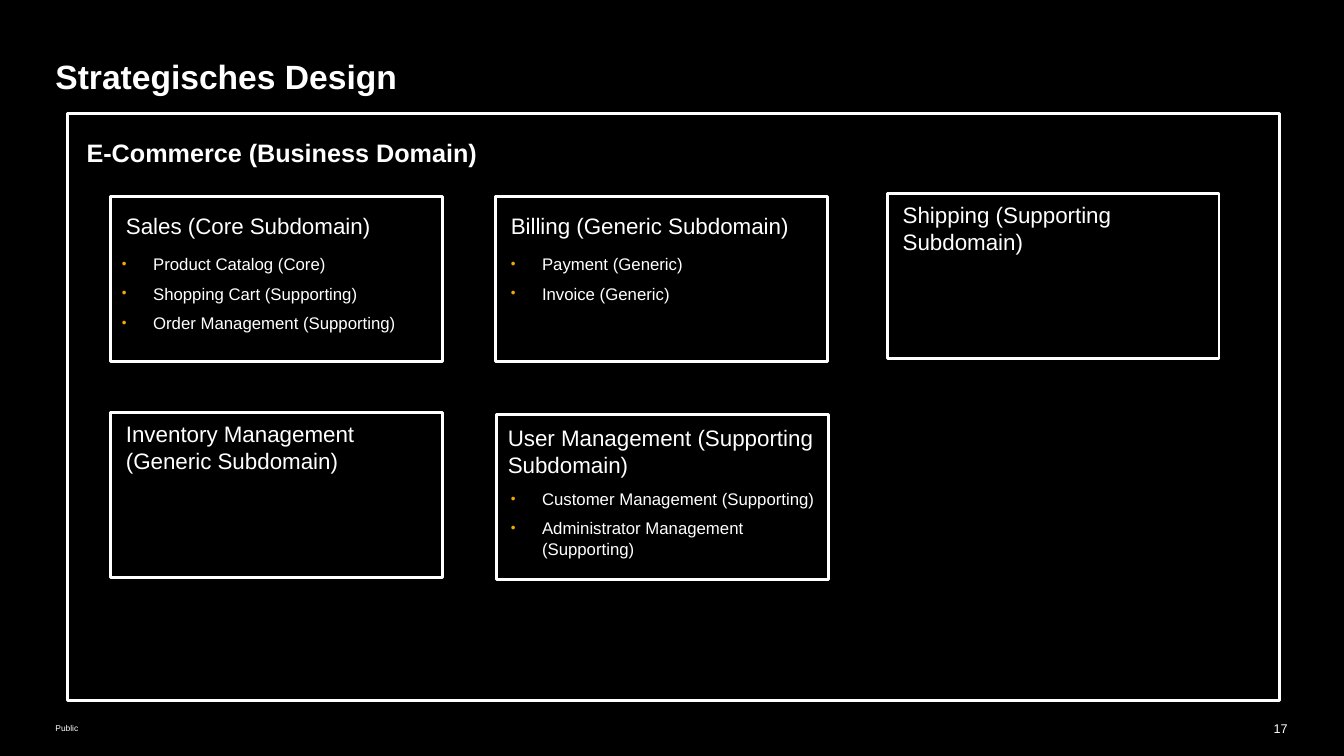
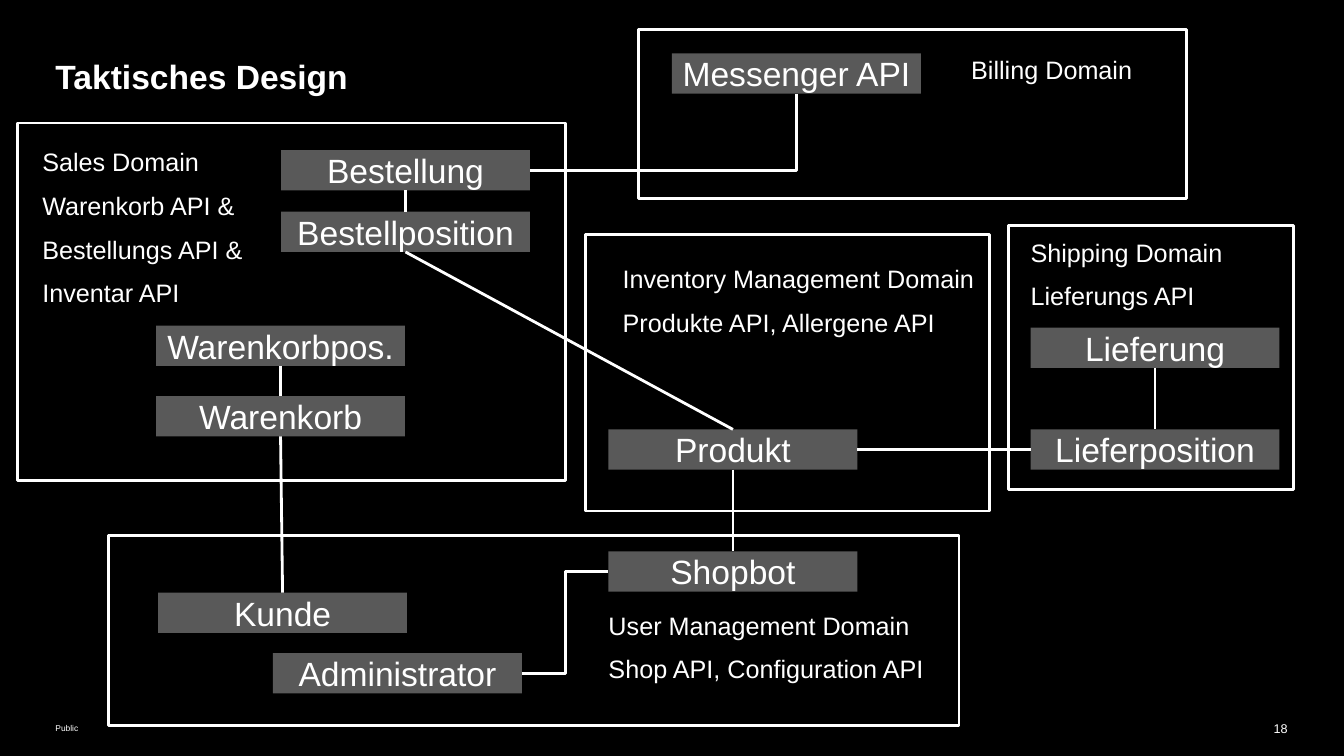
"""Builds two slides on the strategic and tactical design of a web shop."""
import pptx
import pptx.enum.shapes
import pptx.enum.text
import pptx.util
from lxml import etree
from pptx.dml.color import RGBColor
from pptx.oxml.ns import qn
from pptx.util import Inches

COLORS = {"background": "000000", "text": "FFFFFF", "line": "FFFFFF",
          "node": "595959", "bullet": "F0AB00"}
FONT = "Arial"
LINE_WIDTH = pptx.util.Pt(2)
NODE_WIDTH, NODE_HEIGHT = 2.47, 0.4
TOP, LEFT, BOTTOM, RIGHT = range(4)
ALIGN = pptx.enum.text.PP_ALIGN
ANCHOR = pptx.enum.text.MSO_ANCHOR
CONNECTOR = pptx.enum.shapes.MSO_CONNECTOR


def rgb(name):
    return RGBColor.from_string(COLORS[name])


def add_bullet(paragraph):
    properties = paragraph._p.get_or_add_pPr()
    indent = Inches(0.31)
    properties.set("marL", str(indent))
    properties.set("indent", str(-indent))
    color = etree.SubElement(properties, qn("a:buClr"))
    etree.SubElement(color, qn("a:srgbClr"), val=COLORS["bullet"])
    etree.SubElement(properties, qn("a:buSzPct"), val="80000")
    etree.SubElement(properties, qn("a:buFont"), typeface=FONT)
    etree.SubElement(properties, qn("a:buChar"), char="•")


def write(frame, text, *, size, bold=False, align=ALIGN.LEFT, anchor=ANCHOR.TOP, bullets=False):
    frame.word_wrap = True
    frame.auto_size = pptx.enum.text.MSO_AUTO_SIZE.NONE
    frame.vertical_anchor = anchor
    frame.margin_left = frame.margin_top = frame.margin_right = frame.margin_bottom = 0
    for index, line in enumerate(text.split("\n")):
        paragraph = frame.add_paragraph() if index else frame.paragraphs[0]
        if bullets:
            add_bullet(paragraph)
        paragraph.alignment = align
        paragraph.space_before = pptx.util.Pt(0.54 * size if index else 0)
        run = paragraph.add_run()
        run.text = line
        run.font.name = FONT
        run.font.size = pptx.util.Pt(size)
        run.font.bold = bold
        run.font.color.rgb = rgb("text")


class Deck:
    """Holds the shared style and the slide being built."""

    def __init__(self):
        self.presentation = pptx.Presentation()
        self.presentation.slide_width = Inches(13.34)
        self.presentation.slide_height = Inches(7.5)
        background = self.presentation.slide_master.background.fill
        background.solid()
        background.fore_color.rgb = rgb("background")
        self.slide = None

    def start_slide(self, title, number):
        self.slide = self.presentation.slides.add_slide(self.presentation.slide_layouts[5])
        heading = self.slide.shapes.title
        heading.left, heading.top = Inches(0.55), Inches(0.55)
        heading.width, heading.height = Inches(12.23), Inches(0.4)
        write(heading.text_frame, title, size=24, bold=True)
        self.text("Public", 0.55, 7.15, 11.11, 0.15, size=6, anchor=ANCHOR.MIDDLE)
        self.text(str(number), 12.28, 7.15, 0.5, 0.15, size=9, align=ALIGN.RIGHT)

    def text(self, text, left, top, width, height, **style):
        box = self.slide.shapes.add_textbox(
            Inches(left), Inches(top), Inches(width), Inches(height))
        write(box.text_frame, text, **style)

    def rectangle(self, left, top, width, height):
        shape = self.slide.shapes.add_shape(
            pptx.enum.shapes.MSO_SHAPE.RECTANGLE,
            Inches(left), Inches(top), Inches(width), Inches(height))
        shape.shadow.inherit = False
        return shape

    def frame(self, left, top, width, height):
        border = self.rectangle(left, top, width, height)
        border.fill.background()
        border.line.color.rgb = rgb("line")
        border.line.width = LINE_WIDTH

    def node(self, label, left, top):
        entity = self.rectangle(left, top, NODE_WIDTH, NODE_HEIGHT)
        entity.fill.solid()
        entity.fill.fore_color.rgb = rgb("node")
        entity.line.fill.background()
        write(entity.text_frame, label, size=24, align=ALIGN.CENTER, anchor=ANCHOR.MIDDLE)
        return entity

    def connect(self, start, start_side, end, end_side, kind=CONNECTOR.STRAIGHT, preset=None):
        link = self.slide.shapes.add_connector(kind, 0, 0, 0, 0)
        link.begin_connect(start, start_side)
        link.end_connect(end, end_side)
        link.line.color.rgb = rgb("line")
        link.line.width = LINE_WIDTH
        properties = link._element.spPr
        etree.SubElement(properties, qn("a:effectLst"))
        if preset:
            properties.find(qn("a:prstGeom")).set("prst", preset)


def build_strategic(deck):
    deck.start_slide("Strategisches Design", 17)
    deck.frame(0.67, 1.13, 12.03, 5.82)
    deck.text("E-Commerce (Business Domain)", 0.86, 1.36, 5, 0.3, size=18, bold=True)
    subdomains = [
        (1.1, 1.95, "Sales (Core Subdomain)", (0.15, 0.15, 3.03), (0.11, 0.57),
         "Product Catalog (Core)\nShopping Cart (Supporting)\nOrder Management (Supporting)"),
        (4.92, 1.95, "Billing (Generic Subdomain)", (0.15, 0.15, 3.03), (0.15, 0.57),
         "Payment (Generic)\nInvoice (Generic)"),
        (8.81, 1.92, "Shipping (Supporting Subdomain)", (0.15, 0.08, 2.58), None, ""),
        (1.1, 4.09, "Inventory Management (Generic Subdomain)", (0.15, 0.08, 3.03), None, ""),
        (4.93, 4.11, "User Management (Supporting Subdomain)", (0.11, 0.1, 3.08), (0.14, 0.74),
         "Customer Management (Supporting)\nAdministrator Management (Supporting)"),
    ]
    for left, top, name, (name_x, name_y, name_width), list_offset, parts in subdomains:
        deck.frame(left, top, 3.29, 1.64)
        deck.text(name, left + name_x, top + name_y, name_width, 0.54, size=16)
        if parts:
            list_x, list_y = list_offset
            deck.text(parts, left + list_x, top + list_y, 3.09, 0.81, size=12, bullets=True)


def build_tactical(deck):
    deck.start_slide("Taktisches Design", 18)
    domains = [
        ((0.17, 1.22, 5.44, 3.55), (0.42, 1.45, 2.3, 1.67),
         "Sales Domain\nWarenkorb API &\nBestellungs API &\nInventar API"),
        ((6.34, 0.29, 5.44, 1.68), (9.64, 0.54, 2, 0.3), "Billing Domain"),
        ((5.81, 2.33, 4.01, 2.74), (6.18, 2.61, 3.62, 0.76),
         "Inventory Management Domain\nProdukte API, Allergene API"),
        ((10.01, 2.24, 2.83, 2.62), (10.23, 2.35, 2.47, 0.76),
         "Shipping Domain\nLieferungs API"),
        ((1.08, 5.31, 8.44, 1.89), (6.04, 6.05, 3.4, 0.76),
         "User Management Domain\nShop API, Configuration API"),
    ]
    for border, caption, text in domains:
        deck.frame(*border)
        deck.text(text, *caption, size=18)

    order = deck.node("Bestellung", 2.79, 1.49)
    order_item = deck.node("Bestellposition", 2.79, 2.1)
    cart_item = deck.node("Warenkorbpos.", 1.55, 3.23)
    cart = deck.node("Warenkorb", 1.55, 3.93)
    messenger = deck.node("Messenger API", 6.67, 0.53)
    product = deck.node("Produkt", 6.04, 4.26)
    delivery = deck.node("Lieferung", 10.23, 3.25)
    delivery_item = deck.node("Lieferposition", 10.23, 4.26)
    customer = deck.node("Kunde", 1.57, 5.88)
    shop_bot = deck.node("Shopbot", 6.04, 5.47)
    administrator = deck.node("Administrator", 2.71, 6.48)

    for link in [
        (customer, TOP, cart, BOTTOM),
        (cart, TOP, cart_item, BOTTOM),
        (delivery, BOTTOM, delivery_item, TOP),
        (order, BOTTOM, order_item, TOP),
        (delivery_item, LEFT, product, RIGHT),
        (product, TOP, order_item, BOTTOM),
        (product, BOTTOM, shop_bot, TOP),
        (order, RIGHT, messenger, BOTTOM, CONNECTOR.ELBOW, "bentConnector2"),
        (administrator, RIGHT, shop_bot, LEFT, CONNECTOR.ELBOW),
    ]:
        deck.connect(*link)


def main():
    deck = Deck()
    build_strategic(deck)
    build_tactical(deck)
    deck.presentation.save("out.pptx")


if __name__ == "__main__":
    main()
